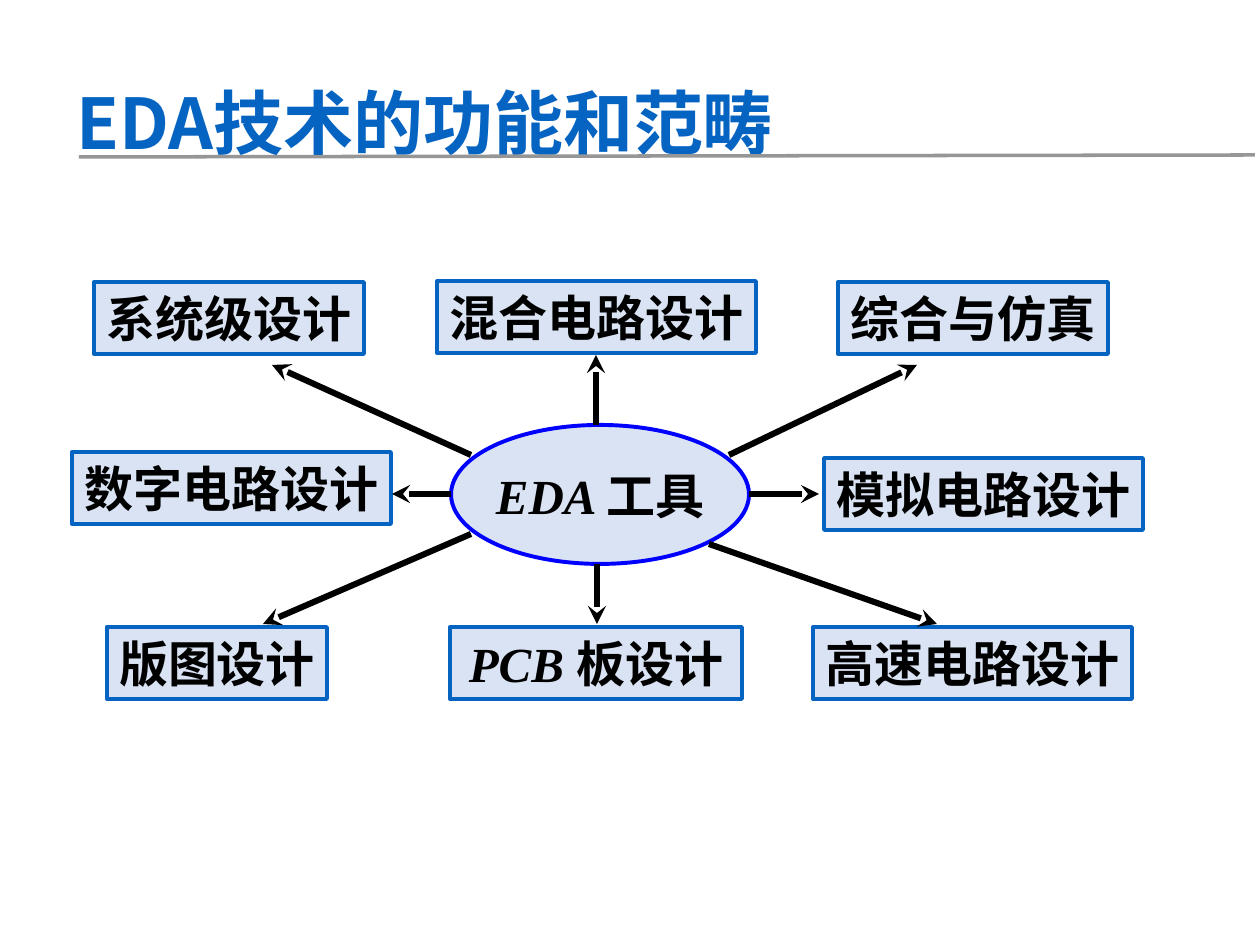
"""Build a slide mapping the functions and scope of EDA technology."""
import pptx
import pptx.util
import pptx.dml.color
import pptx.enum.shapes
import pptx.enum.text
import pptx.oxml
import pptx.oxml.ns

PX = 914400 / 126
CJK = "Noto Sans CJK SC"
SHAPE = pptx.enum.shapes.MSO_SHAPE
ALIGN = pptx.enum.text.PP_ALIGN
ANCHOR = pptx.enum.text.MSO_ANCHOR
BLUE, PALE, BLACK = "0563C1", "DAE3F3", "000000"

TITLE = "EDA技术的功能和范畴"
BOX_HEIGHT = 72
BOXES = [
    (94, 282, 270, "", "系统级设计"),
    (437, 281, 319, "", "混合电路设计"),
    (838, 282, 270, "", "综合与仿真"),
    (72, 452, 319, "", "数字电路设计"),
    (824, 458, 319, "", "模拟电路设计"),
    (107, 627, 220, "", "版图设计"),
    (450, 627, 292, "PCB ", "板设计"),
    (813, 627, 319, "", "高速电路设计"),
]
HUB = (451, 425, 298, 139)
ARROWS = [
    (471, 455, 272, 365),
    (596, 425, 596, 355),
    (729, 455, 917, 365),
    (451, 494, 392, 494),
    (749, 494, 819, 494),
    (471, 534, 263, 624),
    (597, 564, 597, 624),
    (709, 544, 937, 624),
]
RULE = (79, 157, 1255, 155)


def px(n):
    return pptx.util.Emu(round(n * PX))


def rgb(color):
    return pptx.dml.color.RGBColor.from_string(color)


def add_xml(parent, tag, **attrs):
    el = pptx.oxml.parse_xml(f"<a:{tag} {pptx.oxml.ns.nsdecls('a')}/>")
    for name, value in attrs.items():
        el.set(name, value)
    parent.append(el)


def add_run(p, text, color=BLACK, **fmt):
    r = p.add_run()
    r.text = text
    r.font.color.rgb = rgb(color)
    for name, value in {"size": pptx.util.Pt(28), "bold": True, **fmt}.items():
        setattr(r.font, name, value)
    add_xml(r.font._element, "ea", typeface=CJK)


def add_node(slide, kind, box, line, latin, chinese, font):
    sp = slide.shapes.add_shape(kind, *map(px, box))
    sp.shadow.inherit = False
    sp.fill.solid()
    sp.fill.fore_color.rgb = rgb(PALE)
    sp.line.color.rgb = rgb(line)
    sp.line.width = pptx.util.Pt(2.25)
    tf = sp.text_frame
    tf.word_wrap = False
    tf.vertical_anchor = ANCHOR.MIDDLE
    p = tf.paragraphs[0]
    p.alignment = ALIGN.CENTER
    if latin:
        add_run(p, latin, name="Times New Roman", italic=True)
    add_run(p, chinese, name=font)


def add_line(slide, ends, color, width, arrow=False):
    kind = pptx.enum.shapes.MSO_CONNECTOR.STRAIGHT
    cxn = slide.shapes.add_connector(kind, *map(px, ends))
    cxn.line.color.rgb = rgb(color)
    cxn.line.width = pptx.util.Pt(width)
    if arrow:
        add_xml(cxn.line._get_or_add_ln(), "tailEnd", type="stealth")
    add_xml(cxn._element.spPr, "effectLst")


def add_title(slide):
    sp = slide.shapes.title
    sp.left, sp.top, sp.width, sp.height = map(px, (64, 82, 1071, 89))
    tf = sp.text_frame
    tf.word_wrap = True
    tf.vertical_anchor = ANCHOR.MIDDLE
    p = tf.paragraphs[0]
    p.alignment = ALIGN.LEFT
    p.line_spacing = 0.9
    add_run(p, TITLE, BLUE, name=CJK, size=pptx.util.Pt(40))


def main():
    prs = pptx.Presentation()
    prs.slide_width, prs.slide_height = px(1260), px(945)
    slide = prs.slides.add_slide(prs.slide_layouts[5])
    add_title(slide)
    for left, top, width, latin, chinese in BOXES:
        box = (left, top, width, BOX_HEIGHT)
        add_node(slide, SHAPE.RECTANGLE, box, BLUE, latin, chinese, "Arial")
    add_node(slide, SHAPE.OVAL, HUB, "0000FF", "EDA ", "工具", "Times New Roman")
    for ends in ARROWS:
        add_line(slide, ends, BLACK, 3.5, arrow=True)
    add_line(slide, RULE, "969696", 2)
    prs.save("out.pptx")


if __name__ == "__main__":
    main()
